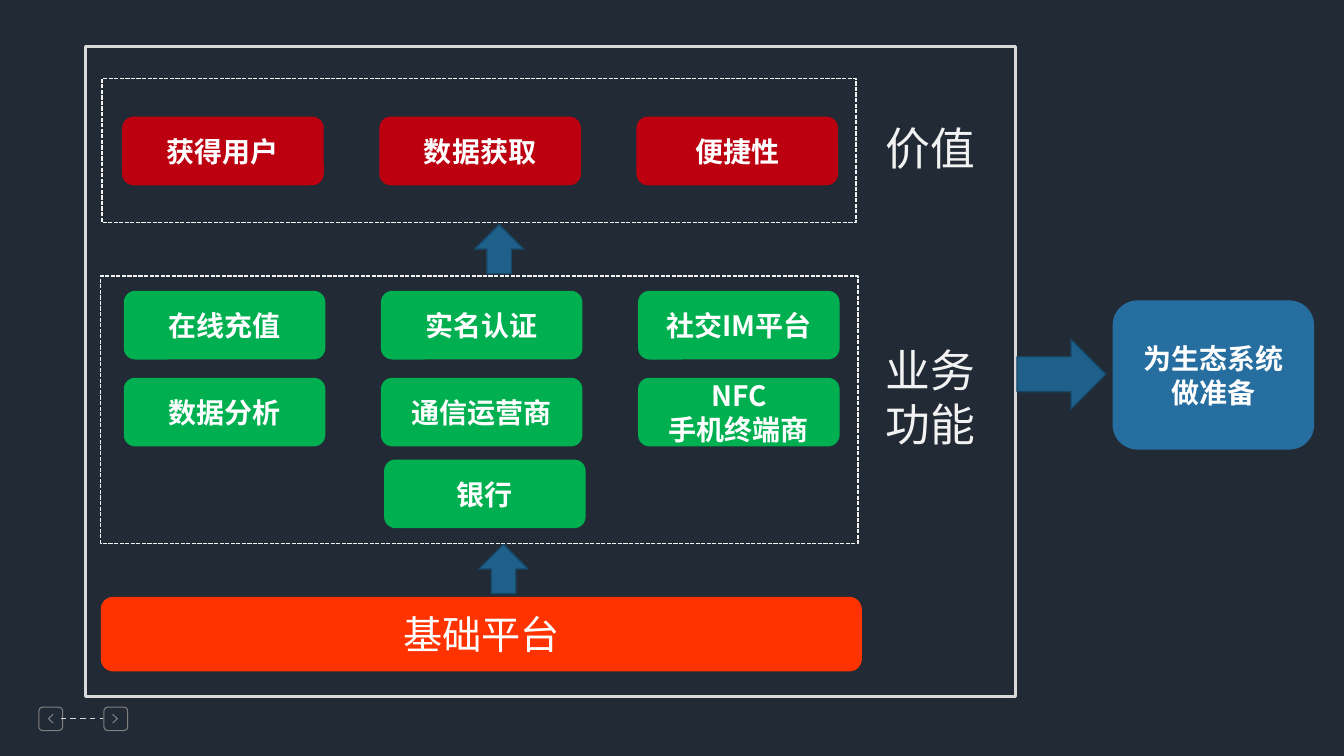
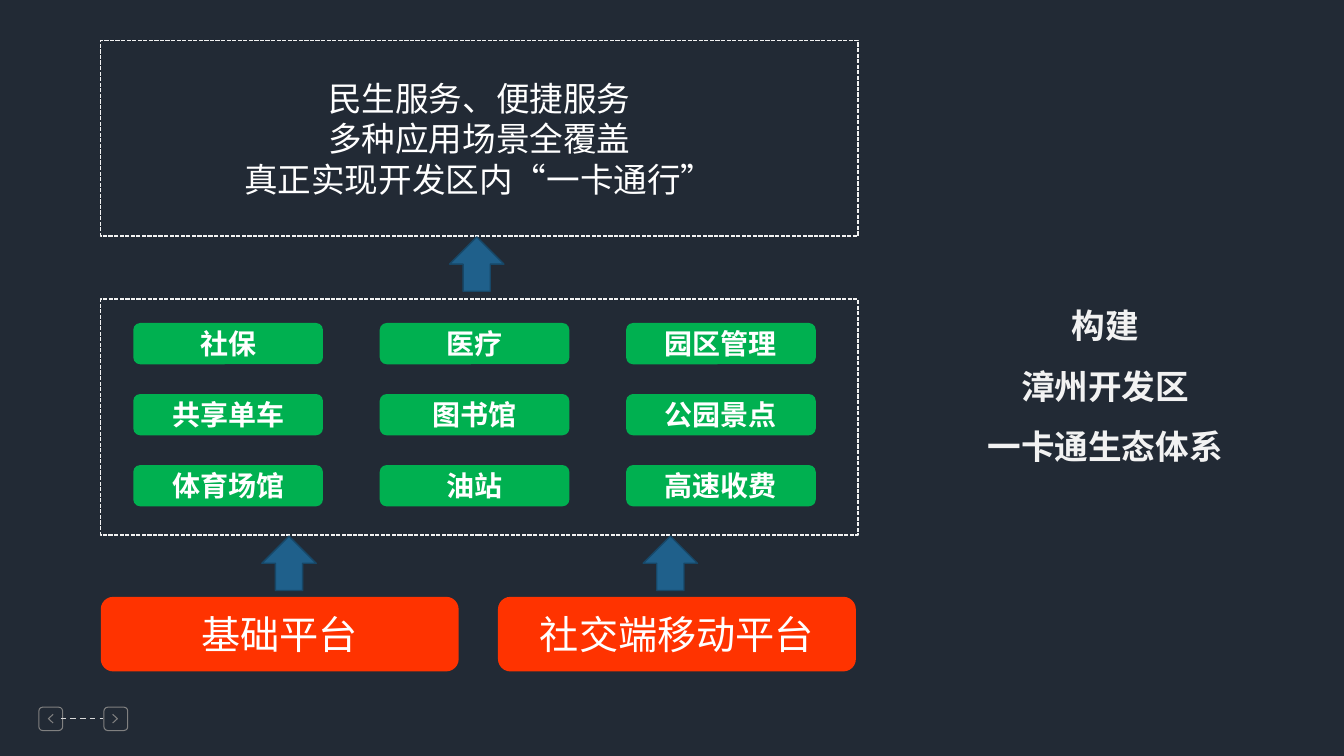
import pptx
import pptx.dml.color
import pptx.enum.dml
import pptx.enum.shapes
import pptx.enum.text
import pptx.oxml.ns
import pptx.util
from lxml import etree

Cm = pptx.util.Cm
Pt = pptx.util.Pt
KIND = pptx.enum.shapes.MSO_SHAPE
DASH = pptx.enum.dml.MSO_LINE
ALIGN = pptx.enum.text.PP_ALIGN
MIDDLE = pptx.enum.text.MSO_ANCHOR.MIDDLE
qn = pptx.oxml.ns.qn
FONT = "Noto Sans CJK SC"
HUES = {
    "back": "222A35", "white": "FFFFFF", "pale": "F2F2F2", "rule": "D9D9D9",
    "gray": "808080", "green": "00B050", "red": "BC0010", "orange": "FF3300",
    "blue": "256E9F", "arrow": "1F608B", "edge": "174767",
}
RGB = {key: pptx.dml.color.RGBColor.from_string(hue) for key, hue in HUES.items()}


def write(shape, text, size, bold=False, hue="white", align=ALIGN.CENTER, space=None):
    frame = shape.text_frame
    frame.word_wrap = True
    frame.text = text
    for para in frame.paragraphs:
        para.alignment = align
        para.line_spacing = space
        for run in para.runs:
            run.font.size = Pt(size)
            run.font.bold = bold
            run.font.name = FONT
            run.font.color.rgb = RGB[hue]
            east = etree.SubElement(run.font._element, qn("a:ea"))
            east.set("typeface", FONT)


def draw(slide, kind, box, fill=None, line=None, width=1, dash=None):
    shape = slide.shapes.add_shape(kind, *map(Cm, box))
    shape.shadow.inherit = False
    if fill:
        shape.fill.solid()
        shape.fill.fore_color.rgb = RGB[fill]
    else:
        shape.fill.background()
    if line:
        shape.line.color.rgb = RGB[line]
        shape.line.width = Pt(width)
        shape.line.dash_style = dash
    else:
        shape.line.fill.background()
    shape.text_frame.vertical_anchor = MIDDLE
    return shape


deck = pptx.Presentation()
deck.slide_width = Cm(33.87)
deck.slide_height = Cm(19.05)
back = deck.slide_master.background.fill
back.solid()
back.fore_color.rgb = RGB["back"]

pages = [
    {
        "zones": [(2.57, 1.98, 19, 3.63), (2.54, 6.96, 19.08, 6.73)],
        "grids": [
            ("red", 3.08, 2.94, 6.48, 0, 5.08, 1.73, ["获得用户", "数据获取", "便捷性"]),
            ("green", 3.12, 7.33, 6.48, 2.19, 5.08, 1.73,
             ["在线充值", "实名认证", "社交IM平台", "数据分析", "通信运营商", "NFC\n手机终端商"]),
            ("green", 9.68, 11.58, 0, 0, 5.08, 1.73, ["银行"]),
        ],
        "bases": [(2.54, 19.18, "基础平台")],
        "ups": [(11.96, 5.66, 1.24), (12.07, 13.72, 1.24)],
    },
    {
        "zones": [(2.54, 1.02, 19.08, 4.93), (2.54, 7.54, 19.08, 5.94)],
        "grids": [
            ("green", 3.36, 8.14, 6.21, 1.79, 4.78, 1.04,
             ["社保", "医疗", "园区管理", "共享单车", "图书馆", "公园景点",
              "体育场馆", "油站", "高速收费"]),
        ],
        "bases": [(2.54, 9.02, "基础平台"), (12.55, 9.02, "社交端移动平台")],
        "ups": [(11.33, 5.97, 1.37), (6.6, 13.51, 1.37), (16.21, 13.51, 1.37)],
    },
]

slides = []
for page in pages:
    slide = deck.slides.add_slide(deck.slide_layouts[6])
    for left, tip, tail in [(0.98, 1.22, 1.34), (2.62, 2.96, 2.84)]:
        draw(slide, KIND.ROUNDED_RECTANGLE, (left, 17.82, 0.6, 0.59), None, "gray", 0.75)
        pen = slide.shapes.build_freeform(Cm(tail), Cm(18), Cm(1) / 1000)
        pen = slide.shapes.build_freeform(Cm(tail), Cm(18))
        pen.add_line_segments([(Cm(tip), Cm(18.11)), (Cm(tail), Cm(18.22))], close=False)
        mark = pen.convert_to_shape()
        mark.shadow.inherit = False
        mark.fill.background()
        mark.line.color.rgb = RGB["gray"]
        mark.line.width = Pt(0.75)
    link = slide.shapes.add_connector(
        pptx.enum.shapes.MSO_CONNECTOR.STRAIGHT, Cm(1.53), Cm(18.11), Cm(2.6), Cm(18.11))
    link.line.color.rgb = RGB["rule"]
    link.line.width = Pt(1)
    link.line.dash_style = DASH.DASH
    etree.SubElement(link._element.spPr, qn("a:effectLst"))

    page["frames"] = [
        draw(slide, KIND.RECTANGLE, box, None, "pale", 1, DASH.SQUARE_DOT)
        for box in page["zones"]
    ]
    for fill, left, top, over, down, wide, high, names in page["grids"]:
        for i, name in enumerate(names):
            row, col = divmod(i, 3)
            box = (left + col * over, top + row * down, wide, high)
            write(draw(slide, KIND.ROUNDED_RECTANGLE, box, fill), name, 20, True)
    for left, wide, name in page["bases"]:
        base = draw(slide, KIND.ROUNDED_RECTANGLE, (left, 15.04, wide, 1.88), "orange")
        write(base, name, 28)
    for left, top, side in page["ups"]:
        draw(slide, KIND.UP_ARROW, (left, top, side, side), "arrow", "edge")
    slides.append(slide)

first, second = slides
draw(first, KIND.RECTANGLE, (2.16, 1.17, 23.44, 16.38), None, "rule", 2.25)
draw(first, KIND.RIGHT_ARROW, (25.63, 8.55, 2.24, 1.76), "arrow", "edge")
goal = draw(first, KIND.ROUNDED_RECTANGLE, (28.04, 7.57, 5.08, 3.76), "blue")
write(goal, "为生态系统\n做准备", 20, True)
for top, high, name in [(2.92, 1.63, "价值"), (8.51, 3, "业务功能")]:
    label = first.shapes.add_textbox(Cm(22.06), Cm(top), Cm(3.1), Cm(high))
    write(label, name, 32, hue="pale", align=ALIGN.LEFT)

write(pages[1]["frames"][0],
      "民生服务、便捷服务\n多种应用场景全覆盖\n真正实现开发区内“一卡通行”", 24)
vision = second.shapes.add_textbox(Cm(23.14), Cm(7.06), Cm(9.42), Cm(4.88))
write(vision, "构建\n漳州开发区\n一卡通生态体系", 24, True, "pale", space=1.5)

deck.save("out.pptx")
